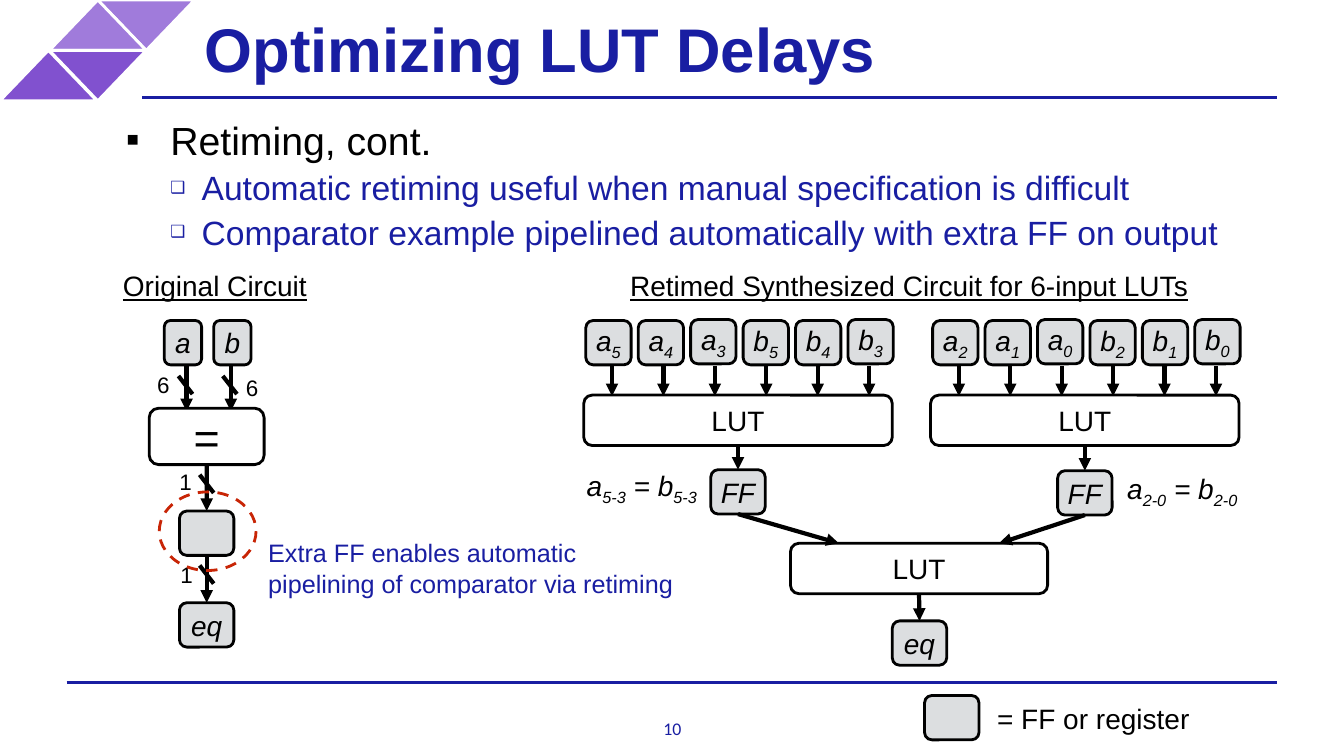
from lxml.etree import SubElement as Sub
from pptx import Presentation
from pptx.dml.color import RGBColor
from pptx.enum.dml import MSO_LINE as Dash
from pptx.enum.shapes import MSO_CONNECTOR as Link, MSO_SHAPE as Kind
from pptx.enum.text import MSO_ANCHOR as Anchor, PP_ALIGN as Align
from pptx.oxml.ns import qn
from pptx.util import Inches, Pt

BLACK = RGBColor(0x00, 0x00, 0x00)
WHITE = RGBColor(0xFF, 0xFF, 0xFF)
BLUE = RGBColor(0x19, 0x1E, 0xA2)
GREY = RGBColor(0xDC, 0xDE, 0xE0)
RED = RGBColor(0xC8, 0x25, 0x06)
LILAC = RGBColor(0xA0, 0x7B, 0xDB)
PURPLE = RGBColor(0x81, 0x51, 0xCF)
TOP, BOTTOM = 0, 2


def style(run, size, color=BLACK, face="Arial", bold=False, italic=False, under=False):
    font = run.font
    font.size, font.name = Pt(size), face
    font.color.rgb = color
    font.bold, font.italic, font.underline = bold, italic, under


def fill_text(frame, parts, size, inset=0.06, align=Align.LEFT, wrap=True, **look):
    """Write the parts as runs; every second part is a subscript."""
    frame.word_wrap = wrap
    frame.vertical_anchor = Anchor.MIDDLE
    frame.margin_left = frame.margin_right = Inches(inset)
    frame.margin_top = frame.margin_bottom = Inches(inset)
    para = frame.paragraphs[0]
    para.alignment = align
    for i, part in enumerate(parts):
        run = para.add_run()
        run.text = part
        style(run, size, **look)
        if i % 2:
            run._r.get_or_add_rPr().set("baseline", "-25000")
    return para


def add_text(slide, x, y, w, h, parts, size=20, **look):
    box = slide.shapes.add_textbox(Inches(x), Inches(y), Inches(w), Inches(h))
    return fill_text(box.text_frame, parts, size, **look)


def add_shape(slide, kind, x, y, w, h, fill=None, line=BLACK):
    shape = slide.shapes.add_shape(kind, Inches(x), Inches(y), Inches(w), Inches(h))
    shape.shadow.inherit = False
    if fill is None:
        shape.fill.background()
    else:
        shape.fill.solid()
        shape.fill.fore_color.rgb = fill
    shape.line.color.rgb = line
    shape.line.width = Pt(2)
    return shape


def add_box(slide, x, y, w, h, parts=(), fill=WHITE, size=20, italic=False):
    box = add_shape(slide, Kind.ROUNDED_RECTANGLE, x, y, w, h, fill)
    fill_text(box.text_frame, parts, size, align=Align.CENTER, wrap=False, italic=italic)
    return box


def add_reg(slide, x, y, parts=(), w=0.54):
    return add_box(slide, x, y, w, 0.44, parts, GREY, italic=True)


def add_line(slide, x1, y1, x2, y2, color=BLACK, width=3, head=False):
    line = slide.shapes.add_connector(
        Link.STRAIGHT, Inches(x1), Inches(y1), Inches(x2), Inches(y2))
    line.line.color.rgb = color
    line.line.width = Pt(width)
    if head:
        Sub(line.line._get_or_add_ln(), qn("a:tailEnd"), type="triangle")
    Sub(line._element.spPr, qn("a:effectLst"))
    return line


def join(slide, start, end):
    """Draw an arrow from the bottom of one box to the top of another."""
    line = add_line(slide, 0, 0, 1, 1, head=True)
    line.begin_connect(start, BOTTOM)
    line.end_connect(end, TOP)


def add_slash(slide, x, y):
    """Mark a wire as a bus."""
    add_line(slide, x - 0.07, y - 0.09, x + 0.07, y + 0.09)


def add_frame(slide):
    for left, y in ((0.66, 6.77), (1.41, 0.97)):
        add_line(slide, left, y, 12.67, y, BLUE, 2)
    for x, y, turn, fill in ((0.97, 0, 180, LILAC), (0.49, 0, 0, LILAC),
                             (0.49, 0.5, 180, PURPLE), (0, 0.5, 0, PURPLE)):
        tile = add_shape(slide, Kind.ISOSCELES_TRIANGLE, x, y, 0.96, 0.5, fill, WHITE)
        tile.rotation = turn
    add_text(slide, 1.89, 0, 10.08, 0.95, ["Optimizing LUT Delays"], 44,
             inset=0.14, color=BLUE, bold=True)
    add_text(slide, 6.52, 7.12, 0.3, 0.21, ["10"], 12.7, inset=0,
             align=Align.CENTER, color=BLUE, face="Calibri")


def add_bullets(slide):
    items = (
        (0, "Retiming, cont."),
        (1, "Automatic retiming useful when manual specification is difficult"),
        (1, "Comparator example pipelined automatically with extra FF on output"),
    )
    looks = ((28, BLACK, 6, 0.5, -0.44, "▪", 100), (24, BLUE, 3, 0.81, -0.31, "❑", 50))
    box = slide.shapes.add_textbox(Inches(1.19), Inches(1.15), Inches(11.36), Inches(1.45))
    frame = box.text_frame
    frame.word_wrap = True
    frame.margin_left = frame.margin_right = frame.margin_top = frame.margin_bottom = 0
    frame.text = "\n".join(text for _, text in items)
    for para, (level, _) in zip(frame.paragraphs, items):
        size, color, gap, left, hang, mark, scale = looks[level]
        para.level = level
        para.space_before = Pt(gap)
        style(para.runs[0], size, color)
        props = para._p.get_or_add_pPr()
        props.set("marL", str(Inches(left)))
        props.set("indent", str(Inches(hang)))
        Sub(props, qn("a:buSzPct"), val=str(scale * 1000))
        Sub(props, qn("a:buFont"), typeface="Arial")
        Sub(props, qn("a:buChar"), char=mark)


def add_source(slide):
    """Draw the circuit before retiming."""
    add_text(slide, 1.16, 2.61, 2.2, 0.45, ["Original Circuit"], under=True)
    for x, wire, name in ((1.63, 1.85, "a"), (2.12, 2.29, "b")):
        add_line(slide, wire, 3.47, wire, 4.08, head=True)
        add_slash(slide, wire - 0.01, 3.82)
        add_reg(slide, x, 3.18, [name], 0.37)
    equal = add_box(slide, 1.48, 4.05, 1.14, 0.56, ["="], size=32)
    extra = add_reg(slide, 1.78, 5.07)
    out = add_reg(slide, 1.78, 5.98, ["eq"])
    join(slide, equal, extra)
    join(slide, extra, out)
    for y in (4.8, 5.7):
        add_slash(slide, 2.05, y)
    for x, y, bits in ((1.5, 3.63, "6"), (2.38, 3.65, "6"), (1.72, 4.59, "1"), (1.73, 5.51, "1")):
        add_text(slide, x, y, 0.37, 0.38, [bits], 16)
    note = add_text(slide, 2.54, 5.22, 4.36, 0.83,
                    ["Extra FF enables automatic pipelining of comparator via retiming"],
                    18, color=BLUE)
    note.space_before = Pt(6)
    note._p.get_or_add_pPr().set("marL", str(Inches(0.06)))
    ring = add_shape(slide, Kind.OVAL, 1.58, 4.88, 0.96, 0.78, line=RED)
    ring.line.dash_style = Dash.DASH


def add_half(slide, left, bits, ff_y, tip):
    """Draw six inputs, their LUT and its FF, with an arrow on to the last LUT."""
    lut = add_box(slide, left, 3.92, 3.06, 0.5, ["LUT"])
    names = [(name, bit) for name in "ab" for bit in bits]
    for i, pair in enumerate(names):
        wire = left + 0.28 + 0.51 * i
        add_line(slide, wire, 3.63, wire, 3.93, head=True)
        add_reg(slide, left + 0.02 + 0.52 * i, 3.17 if i % 3 == 2 else 3.18, pair, 0.45)
    flop = add_reg(slide, left + 1.26, ff_y, ["FF"])
    join(slide, lut, flop)
    line = add_line(slide, left + 1.53, ff_y + 0.44, tip, 5.39, head=True)
    line.begin_connect(flop, BOTTOM)


def add_retimed(slide):
    add_text(slide, 6.19, 2.61, 6.07, 0.45,
             ["Retimed Synthesized Circuit for 6-input LUTs"], under=True)
    last = add_box(slide, 7.84, 5.39, 2.55, 0.5, ["LUT"])
    out = add_reg(slide, 8.85, 6.16, ["eq"])
    join(slide, last, out)
    add_half(slide, 5.79, "543", 4.66, 8.32)
    add_half(slide, 9.23, "210", 4.67, 9.91)
    for x, y, span in ((5.76, 4.61, "5-3"), (11.12, 4.64, "2-0")):
        add_text(slide, x, y, 1.33, 0.45, ["a", span, " = b", span], italic=True)


def main():
    deck = Presentation()
    deck.slide_width, deck.slide_height = Inches(13.33), Inches(7.5)
    slide = deck.slides.add_slide(deck.slide_layouts[6])
    add_frame(slide)
    add_bullets(slide)
    add_source(slide)
    add_retimed(slide)
    add_reg(slide, 9.17, 6.9)
    add_text(slide, 9.83, 6.9, 2.36, 0.45, ["= FF or register"])
    deck.save("out.pptx")


if __name__ == "__main__":
    main()
